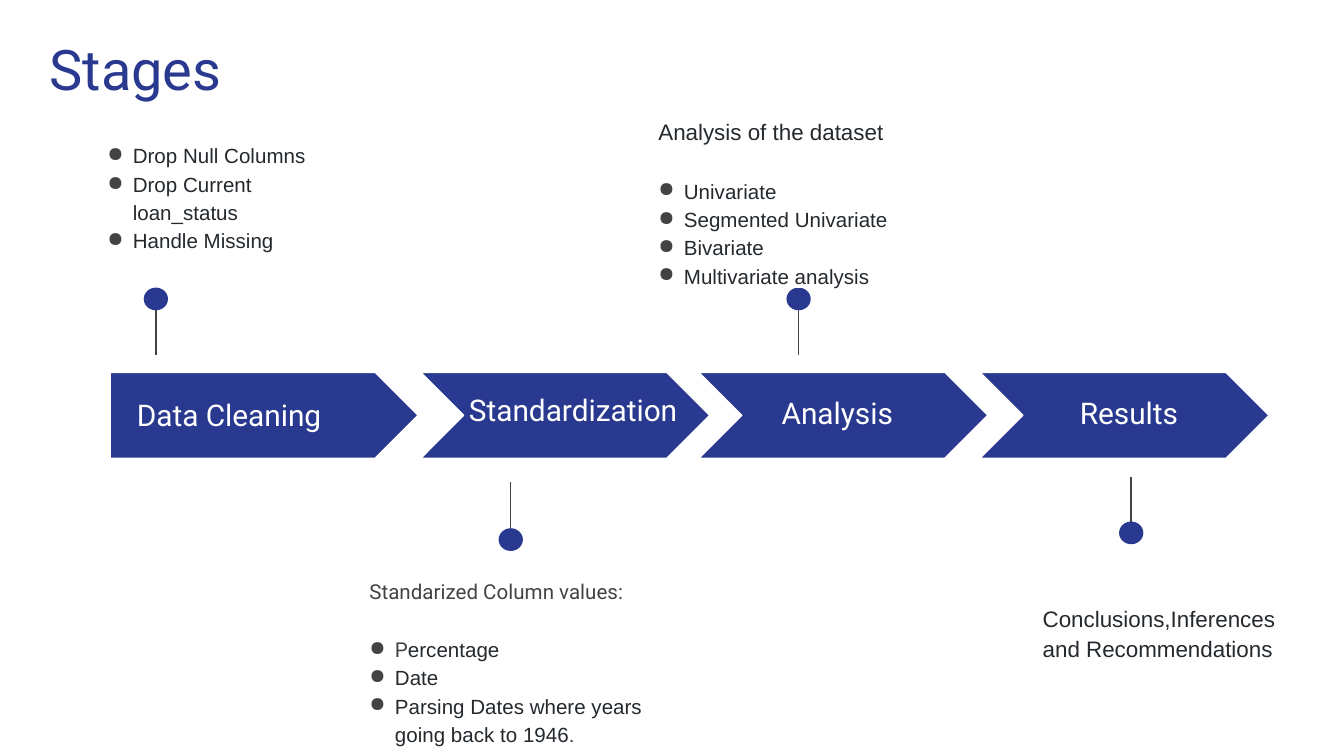
"""Build a slide with four process stages, their pins and their notes."""
from lxml.etree import SubElement
from pptx import Presentation
from pptx.dml.color import RGBColor
from pptx.enum.shapes import MSO_CONNECTOR, MSO_SHAPE
from pptx.enum.text import MSO_ANCHOR, PP_ALIGN
from pptx.oxml import parse_xml
from pptx.oxml.ns import nsdecls, qn
from pptx.util import Pt

COLORS = {"blue": "2A3990", "white": "FFFFFF", "gray": "434343", "ink": "24292E"}
BAR_TOP, BAR_HEIGHT = 199.5, 46
DOT_WIDTH, DOT_HEIGHT = 13, 12.2
INDENT = 13.7


def add_text_box(slide, left, top, width, height, anchor=MSO_ANCHOR.TOP):
    text_frame = slide.shapes.add_textbox(Pt(left), Pt(top), Pt(width), Pt(height)).text_frame
    text_frame.word_wrap = True
    text_frame.vertical_anchor = anchor
    text_frame.margin_left = text_frame.margin_right = Pt(7.2)
    text_frame.margin_top = text_frame.margin_bottom = Pt(7.2)
    return text_frame


def format_run(run, font_name, size, color, highlighted=False):
    run.font.size = Pt(size)
    run.font.color.rgb = RGBColor.from_string(COLORS[color])
    if highlighted:
        run.font.fill._xPr.find(qn("a:solidFill")).addnext(parse_xml(
            f'<a:highlight {nsdecls("a")}><a:srgbClr val="{COLORS["white"]}"/></a:highlight>'))
    run.font.name = font_name


presentation = Presentation()
presentation.slide_width, presentation.slide_height = Pt(720), Pt(405)
slide = presentation.slides.add_slide(presentation.slide_layouts[6])

title = add_text_box(slide, 19.5, 11.5, 671, 47.5)
title.text = "Stages"
format_run(title.paragraphs[0].runs[0], "Roboto", 30, "blue")

pins = [(83.5, 156.2, 190, 154.1), (427.8, 156.2, 190, 154.1),
        (606, 289.4, 255.6, 279.4), (273.6, 292.3, 258.5, 283)]
for center, line_start, line_end, dot_top in pins:
    line = slide.shapes.add_connector(
        MSO_CONNECTOR.STRAIGHT, Pt(center), Pt(line_start), Pt(center), Pt(line_end))
    line.line.color.rgb = RGBColor.from_string(COLORS["gray"])
    line.line.width = Pt(0.75)
    SubElement(line._element.spPr, qn("a:effectLst"))
    dot = slide.shapes.add_shape(MSO_SHAPE.OVAL, Pt(center - DOT_WIDTH / 2), Pt(dot_top),
                                 Pt(DOT_WIDTH), Pt(DOT_HEIGHT))
    dot.shadow.inherit = False
    dot.fill.solid()
    dot.fill.fore_color.rgb = RGBColor.from_string(COLORS["blue"])
    dot.line.fill.background()

stages = [
    ("Data Cleaning", MSO_SHAPE.PENTAGON, 59, 165, (50.4, 207.6, 144.7)),
    ("Standardization", MSO_SHAPE.CHEVRON, 225.4, 154.8, (242.6, 205.2, 128.9)),
    ("Analysis", MSO_SHAPE.CHEVRON, 374.4, 154.8, (405.4, 206.6, 86.4)),
    ("Results", MSO_SHAPE.CHEVRON, 525, 154.8, (561.6, 206.6, 86.4)),
]
for name, kind, left, width, label_place in stages:
    bar = slide.shapes.add_shape(kind, Pt(left), Pt(BAR_TOP), Pt(width), Pt(BAR_HEIGHT))
    bar.shadow.inherit = False
    bar.fill.solid()
    bar.fill.fore_color.rgb = RGBColor.from_string(COLORS["blue"])
    bar.line.color.rgb = RGBColor.from_string(COLORS["white"])
    bar.line.width = Pt(0.75)
    label = add_text_box(slide, *label_place, 28.8, MSO_ANCHOR.MIDDLE)
    label.text = name
    label.paragraphs[0].alignment = PP_ALIGN.CENTER
    format_run(label.paragraphs[0].runs[0], "Roboto", 16, "white")

marked, plain = ("Arial", "ink", True), ("Roboto", "gray", False)
notes = [
    ((50.4, 67.7, 134.6, 73.4), None, [
        [("Drop Null Columns", marked)],
        [("Drop Current loan_status", marked)],
        [("Handle Missing", marked)]]),
    ((345.6, 54, 179.3, 55.4), ("Analysis of the dataset", 12, marked), [
        [("Univariate", marked)],
        [("Segmented Univariate", marked)],
        [("Bivariate", marked)],
        [("Multivariate analysis", marked)]]),
    ((551.5, 314.6, 146.9, 55.4),
     ("Conclusions,Inferences and Recommendations", 12, marked), []),
    ((190.8, 301, 179.3, 103.7), ("Standarized Column values:", 11, plain), [
        [("P", plain), ("ercentage", marked)],
        [("Date", marked)],
        [("Parsing Dates where years going back to 1946", marked), (".", plain)]]),
]
for place, heading, bullets in notes:
    text_frame = add_text_box(slide, *place)
    paragraph = text_frame.paragraphs[0]
    paragraph.line_spacing = 1.15
    if heading:
        text, size, (font_name, color, highlighted) = heading
        paragraph.text = text
        paragraph.space_after = Pt(16)
        format_run(paragraph.runs[0], font_name, size, color, highlighted)
    for index, pieces in enumerate(bullets):
        if heading or index:
            paragraph = text_frame.add_paragraph()
        paragraph.line_spacing = 1.15
        properties = paragraph._p.get_or_add_pPr()
        properties.set("marL", str(Pt(INDENT)))
        properties.set("indent", str(-Pt(INDENT)))
        bullet_color = SubElement(properties, qn("a:buClr"))
        SubElement(bullet_color, qn("a:srgbClr"), val=COLORS["gray"])
        SubElement(properties, qn("a:buChar"), char="●")
        for text, (font_name, color, highlighted) in pieces:
            run = paragraph.add_run()
            run.text = text
            format_run(run, font_name, 11, color, highlighted)

presentation.save("out.pptx")
